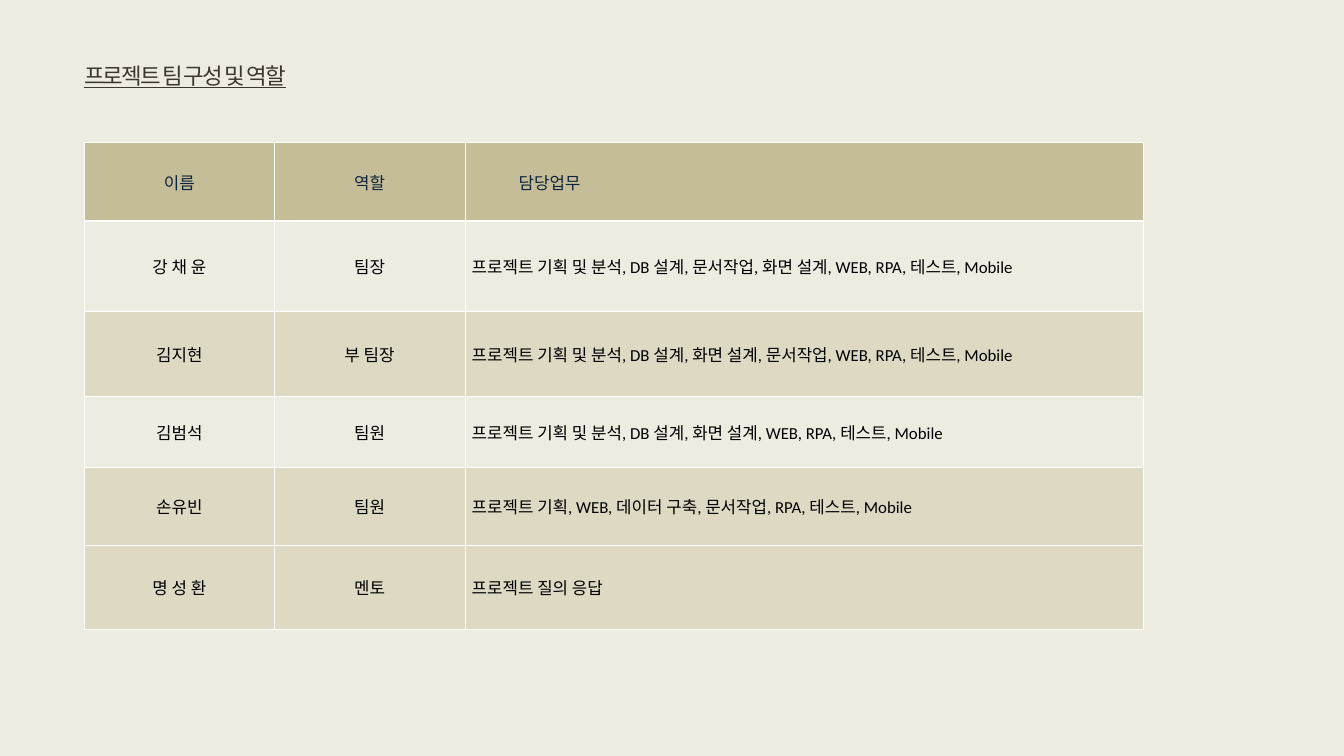
from dataclasses import dataclass

from lxml.etree import SubElement
from pptx import Presentation
from pptx.dml.color import RGBColor
from pptx.enum.text import MSO_ANCHOR, PP_ALIGN
from pptx.oxml.ns import qn
from pptx.util import Inches, Pt


@dataclass(frozen=True)
class Theme:
    background: str = "EEECE1"
    header_fill: str = "C4BD97"
    light_fill: str = "EEECE1"
    dark_fill: str = "DDD9C3"
    border: str = "FFFFFF"
    title: str = "3E372E"
    header: str = "0F243E"
    body: str = "000000"
    title_font: str = "Arial"
    table_font: str = "Calibri"
    title_size: int = 24
    table_size: int = 18
    thin: int = 1
    thick: int = 3


THEME = Theme()
SLIDE_WIDTH, SLIDE_HEIGHT = Inches(20), Inches(11.25)
TITLE = "프로젝트 팀 구성 및 역할"
HEADINGS = ("이름", "역할", "담당업무")
MEMBERS = (
    ("강 채 윤", "팀장", "프로젝트 기획 및 분석, DB 설계, 문서작업, 화면 설계, WEB, RPA, 테스트, Mobile"),
    ("김지현", "부 팀장", "프로젝트 기획 및 분석, DB 설계, 화면 설계, 문서작업, WEB, RPA, 테스트, Mobile"),
    ("김범석", "팀원", "프로젝트 기획 및 분석, DB 설계, 화면 설계, WEB, RPA, 테스트, Mobile"),
    ("손유빈", "팀원", "프로젝트 기획, WEB, 데이터 구축, 문서작업, RPA, 테스트, Mobile"),
    ("명 성 환", "멘토", "프로젝트 질의 응답"),
)
ROW_FILLS = (THEME.header_fill, THEME.light_fill, THEME.dark_fill,
             THEME.light_fill, THEME.dark_fill, THEME.dark_fill)
COLUMN_SHARES = (14.1, 14.2, 50.45)
ROW_SHARES = (10.4, 12, 11.2, 9.33, 10.31, 11.2)


def across(percent):
    return int(SLIDE_WIDTH * percent / 100)


def down(percent):
    return int(SLIDE_HEIGHT * percent / 100)


def style_font(font, name, size, color):
    font.name = name
    font.size = Pt(size)
    font.color.rgb = RGBColor.from_string(color)


def add_title(slide):
    title = slide.shapes.add_textbox(across(6.25), down(3.82), across(48.4), down(12.36))
    frame = title.text_frame
    frame.word_wrap = True
    frame.vertical_anchor = MSO_ANCHOR.MIDDLE
    frame.margin_left = frame.margin_right = frame.margin_top = frame.margin_bottom = 0
    heading = frame.paragraphs[0]
    heading.line_spacing = 1.0
    wording = heading.add_run()
    wording.text = TITLE
    style_font(wording.font, THEME.title_font, THEME.title_size, THEME.title)
    wording.font.underline = True
    wording.font._element.set("spc", "-200")


def add_borders(cell, bottom_width):
    properties = cell._tc.get_or_add_tcPr()
    widths = {"a:lnL": THEME.thin, "a:lnR": THEME.thin,
              "a:lnT": THEME.thin, "a:lnB": bottom_width}
    for side, width in widths.items():
        line = SubElement(properties, qn(side), w=str(Pt(width)))
        SubElement(SubElement(line, qn("a:solidFill")), qn("a:srgbClr"), val=THEME.border)


def fill_cell(cell, wording, fill, color, centred, bottom_width):
    add_borders(cell, bottom_width)
    cell.fill.solid()
    cell.fill.fore_color.rgb = RGBColor.from_string(fill)
    cell.vertical_anchor = MSO_ANCHOR.MIDDLE
    entry = cell.text_frame.paragraphs[0]
    entry.text = wording
    entry.alignment = PP_ALIGN.CENTER if centred else PP_ALIGN.LEFT
    style_font(entry.font, THEME.table_font, THEME.table_size, color)


def add_team_table(slide):
    team = slide.shapes.add_table(
        len(ROW_SHARES), len(COLUMN_SHARES), across(6.3), down(18.84),
        across(sum(COLUMN_SHARES)), down(sum(ROW_SHARES))).table
    for column, share in zip(team.columns, COLUMN_SHARES):
        column.width = across(share)
    for row, share in zip(team.rows, ROW_SHARES):
        row.height = down(share)
    for r, (entries, fill) in enumerate(zip((HEADINGS, *MEMBERS), ROW_FILLS)):
        color = THEME.body if r else THEME.header
        bottom_width = THEME.thin if r else THEME.thick
        for c, wording in enumerate(entries):
            fill_cell(team.cell(r, c), wording, fill, color, c < 2, bottom_width)
    team.cell(0, 2).margin_left = across(4)


def main():
    """Build the slide that lists the project team and its duties."""
    deck = Presentation()
    deck.slide_width, deck.slide_height = SLIDE_WIDTH, SLIDE_HEIGHT
    slide = deck.slides.add_slide(deck.slide_layouts[6])
    slide.background.fill.solid()
    slide.background.fill.fore_color.rgb = RGBColor.from_string(THEME.background)
    add_title(slide)
    add_team_table(slide)
    deck.save("out.pptx")


if __name__ == "__main__":
    main()
